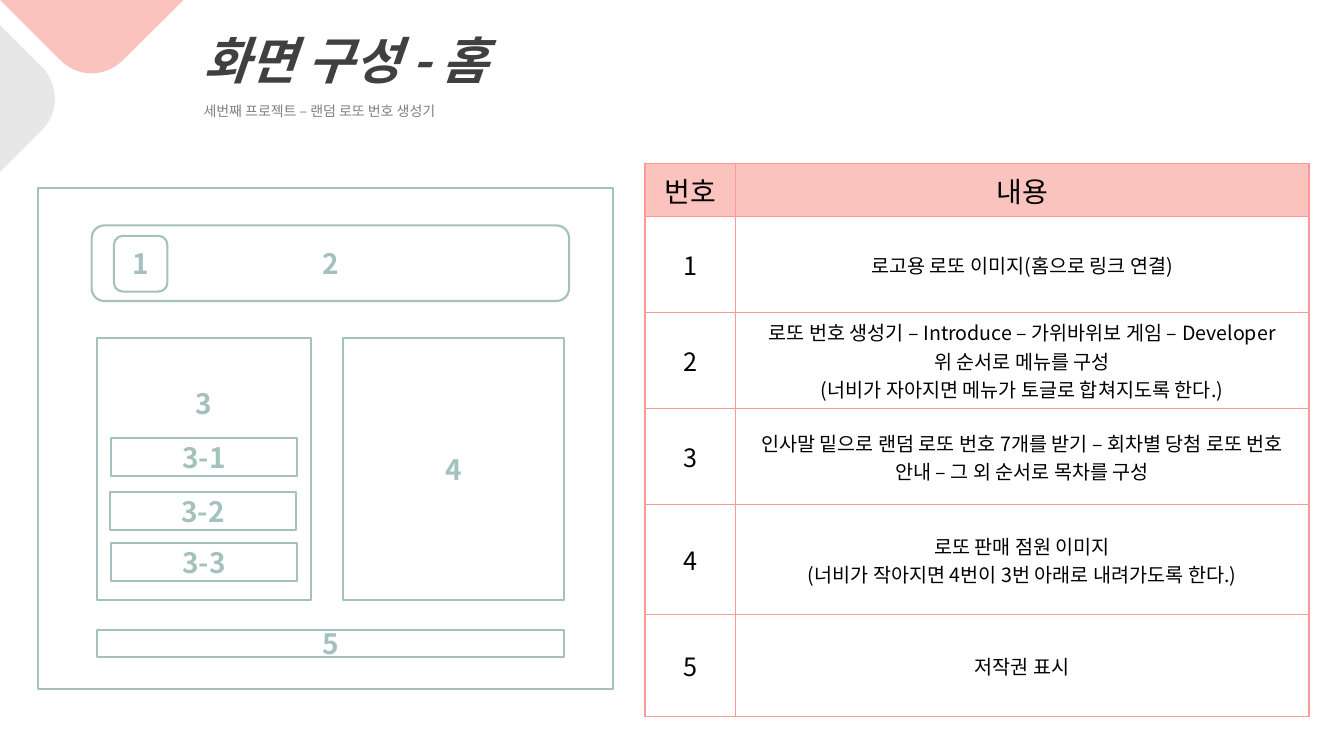
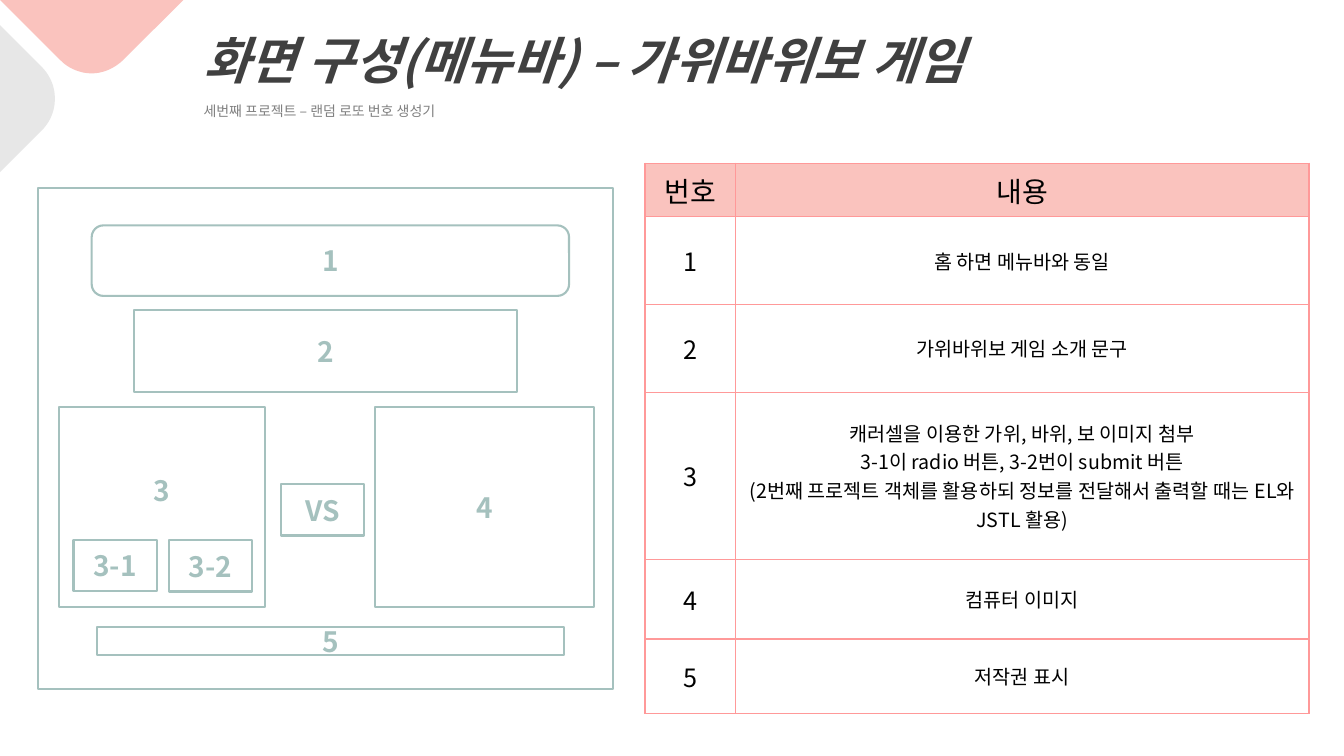
from lxml import etree
from pptx import Presentation
from pptx.dml.color import RGBColor
from pptx.enum.shapes import MSO_SHAPE
from pptx.enum.text import MSO_ANCHOR, MSO_AUTO_SIZE, PP_ALIGN
from pptx.oxml import parse_xml
from pptx.oxml.ns import nsdecls, qn
from pptx.util import Pt

RECTANGLE, ROUNDED = MSO_SHAPE.RECTANGLE, MSO_SHAPE.ROUNDED_RECTANGLE
TOP, MIDDLE = MSO_ANCHOR.TOP, MSO_ANCHOR.MIDDLE
LEFT, CENTER = PP_ALIGN.LEFT, PP_ALIGN.CENTER
NO_AUTOFIT = MSO_AUTO_SIZE.NONE
TITLE_ONLY = 5

FONT = "Noto Sans CJK KR"
PINK, GREY, GREEN, BORDER = "FAC3BE", "E7E7E7", "A5C1BE", "FF9999"

TITLE_FORMAT = {"size": 36, "color": "404040", "bold": True, "italic": True}
SUBTITLE_FORMAT = {"size": 10, "color": "808080"}
LABEL_FORMAT = {"size": 20, "color": GREEN, "bold": True}
HEADER_FORMAT = {"size": 20, "color": "000000"}
NUMBER_FORMAT = {"size": 18, "color": "000000"}
CONTENT_FORMAT = {"size": 14, "color": "000000"}

SUBTITLE = "세번째 프로젝트 – 랜덤 로또 번호 생성기"
HEADERS = ("번호", "내용")
HEADER_HEIGHT = 38.2
COLUMN_WIDTHS = (64.6, 409.8)
TABLE_LEFT, TABLE_TOP = 460.7, 116.6
FRAME_BOX = ("", RECTANGLE, 27.4, 134.6, 410.4, 357.8)

# Corner outlines: a pair is a line end, three pairs are a Bézier curve.
CORNERS = [
    (PINK, (65.5, 52.4), [
        ((73.4, 52.4), (81.4, 49), (87.6, 43.2)), (131, 0), (0, 0), (43.4, 43.2),
        ((49, 49), (57.6, 52.4), (65.5, 52.4))]),
    (GREY, (0, 18), [
        (29.5, 47.5), ((36, 54), (39.2, 62), (39.2, 70.5)),
        ((39.2, 79.2), (36, 87), (29.5, 93.6)), (0, 123)]),
]

# Boxes: label, shape, left, top, width, height and optional room below the label.
SLIDES = [
    {
        "title": "화면 구성 - 홈",
        "rows": [
            (68.6, ["로고용 로또 이미지(홈으로 링크 연결)"]),
            (68.6, ["로또 번호 생성기 – Introduce – 가위바위보 게임 – Developer",
                    "위 순서로 메뉴를 구성",
                    "(너비가 자아지면 메뉴가 토글로 합쳐지도록 한다.)"]),
            (68.6, ["인사말 밑으로 랜덤 로또 번호 7개를 받기 – 회차별 당첨 로또 번호 "
                    "안내 – 그 외 순서로 목차를 구성"]),
            (78.5, ["로또 판매 점원 이미지",
                    "(너비가 작아지면 4번이 3번 아래로 내려가도록 한다.)"]),
            (72.5, ["저작권 표시"]),
        ],
        "boxes": [
            ("2", ROUNDED, 65.5, 161, 341, 54),
            ("3", RECTANGLE, 69, 241.3, 153.4, 187.2, 94),
            ("4", RECTANGLE, 245.2, 241.3, 157.7, 187.2),
            ("5", RECTANGLE, 69, 450, 334, 19.6),
            ("1", ROUNDED, 81.4, 168.5, 38.2, 39.8),
            ("3-1", RECTANGLE, 79.2, 313, 133.2, 27.2),
            ("3-2", RECTANGLE, 78.4, 351.4, 133.2, 27.2),
            ("3-3", RECTANGLE, 79.2, 388, 133.2, 27.2),
        ],
    },
    {
        "title": "화면 구성(메뉴바) – 가위바위보 게임",
        "rows": [
            (62.7, ["홈 하면 메뉴바와 동일"]),
            (62.7, ["가위바위보 게임 소개 문구"]),
            (119.3, ["캐러셀을 이용한 가위, 바위, 보 이미지 첨부",
                     "3-1이 radio 버튼, 3-2번이 submit 버튼",
                     "(2번째 프로젝트 객체를 활용하되 정보를 전달해서 출력할 때는 "
                     "EL와 JSTL 활용)"]),
            (57, ["컴퓨터 이미지"]),
            (53.4, ["저작권 표시"]),
        ],
        "boxes": [
            ("1", ROUNDED, 65.5, 161, 341, 50.4),
            ("3", RECTANGLE, 42.3, 290.8, 147, 142.8, 24),
            ("5", RECTANGLE, 69, 448, 334, 19.6),
            ("4", RECTANGLE, 267.8, 290.8, 156.4, 142.8),
            ("2", RECTANGLE, 95.7, 221.2, 273.6, 59),
            ("3-1", RECTANGLE, 52.5, 385.8, 59.4, 36.4),
            ("3-2", RECTANGLE, 120.8, 385.8, 59.4, 36.8),
            ("VS", RECTANGLE, 200.8, 345.8, 59.4, 36.8),
        ],
    },
]


def color(value):
    return RGBColor.from_string(value)


def write(frame, lines, text_format, alignment):
    """Put one formatted paragraph per line into a text frame."""
    for index, line in enumerate(lines):
        paragraph = frame.add_paragraph() if index else frame.paragraphs[0]
        paragraph.alignment = alignment
        run = paragraph.add_run()
        run.text = line
        font = run.font
        values = {"name": FONT, "size": Pt(text_format["size"]),
                  "bold": text_format.get("bold", False),
                  "italic": text_format.get("italic", False)}
        for name, value in values.items():
            setattr(font, name, value)
        font.color.rgb = color(text_format["color"])
        east_asian = etree.SubElement(run._r.get_or_add_rPr(), qn("a:ea"))
        east_asian.set("typeface", FONT)


def set_frame(frame, anchor, margin):
    values = {"word_wrap": True, "auto_size": NO_AUTOFIT, "vertical_anchor": anchor}
    for side in ("left", "top", "right", "bottom"):
        values["margin_" + side] = Pt(margin)
    for name, value in values.items():
        setattr(frame, name, value)


def place(shape, left, top, width, height):
    for name, value in zip(("left", "top", "width", "height"),
                           (left, top, width, height)):
        setattr(shape, name, Pt(value))


def curve_points(start, controls, steps=16):
    """Points along a cubic Bézier curve, without its start."""
    weights = ((1 - t, t) for t in (step / steps for step in range(1, steps + 1)))
    for s, t in weights:
        factors = (s ** 3, 3 * s * s * t, 3 * s * t * t, t ** 3)
        yield tuple(sum(f * point[axis] for f, point in zip(factors, (start, *controls)))
                    for axis in (0, 1))


def add_corners(slide):
    for fill, start, segments in CORNERS:
        points = [start]
        for segment in segments:
            if isinstance(segment[0], tuple):
                points.extend(curve_points(points[-1], segment))
            else:
                points.append(segment)
        vertices = [(Pt(x), Pt(y)) for x, y in points]
        builder = slide.shapes.build_freeform(*vertices[0])
        builder.add_line_segments(vertices[1:], close=True)
        shape = builder.convert_to_shape()
        shape.shadow.inherit = False
        shape.fill.solid()
        shape.fill.fore_color.rgb = color(fill)
        shape.line.fill.background()


def add_heading(slide, title):
    subtitle = slide.shapes.add_textbox(0, 0, 0, 0)
    for shape, text, text_format, top, height in (
            (slide.shapes.title, title, TITLE_FORMAT, 20.5, 52),
            (subtitle, SUBTITLE, SUBTITLE_FORMAT, 73, 16)):
        place(shape, 145.4, top, 660, height)
        set_frame(shape.text_frame, TOP, 0)
        write(shape.text_frame, [text], text_format, LEFT)


def format_cell(cell, lines, text_format, fill=None):
    cell.vertical_anchor = MIDDLE
    write(cell.text_frame, lines, text_format, CENTER)
    properties = cell._tc.get_or_add_tcPr()
    for side in "LRTB":
        properties.append(parse_xml(
            f'<a:ln{side} {nsdecls("a")} w="{Pt(1)}"><a:solidFill>'
            f'<a:srgbClr val="{BORDER}"/></a:solidFill></a:ln{side}>'))
    if fill:
        cell.fill.solid()
        cell.fill.fore_color.rgb = color(fill)
    else:
        cell.fill.background()


def add_description_table(slide, rows):
    heights = [HEADER_HEIGHT] + [height for height, _ in rows]
    table = slide.shapes.add_table(
        len(heights), len(COLUMN_WIDTHS), Pt(TABLE_LEFT), Pt(TABLE_TOP),
        Pt(sum(COLUMN_WIDTHS)), Pt(sum(heights))).table
    table.horz_banding = False
    for column, width in zip(table.columns, COLUMN_WIDTHS):
        column.width = Pt(width)
    for row, height in zip(table.rows, heights):
        row.height = Pt(height)
    for index, header in enumerate(HEADERS):
        format_cell(table.cell(0, index), [header], HEADER_FORMAT, PINK)
    for number, (_, lines) in enumerate(rows, 1):
        format_cell(table.cell(number, 0), [str(number)], NUMBER_FORMAT)
        format_cell(table.cell(number, 1), lines, CONTENT_FORMAT)


def add_wireframe_box(slide, label, kind, left, top, width, height, room_below=0):
    shape = slide.shapes.add_shape(kind, Pt(left), Pt(top), Pt(width), Pt(height))
    shape.shadow.inherit = False
    shape.fill.background()
    shape.line.color.rgb = color(GREEN)
    shape.line.width = Pt(1.5)
    if label:
        set_frame(shape.text_frame, MIDDLE, 0)
        shape.text_frame.margin_bottom = Pt(room_below)
        write(shape.text_frame, [label], LABEL_FORMAT, CENTER)


def main():
    presentation = Presentation()
    presentation.slide_width, presentation.slide_height = Pt(960), Pt(540)
    for content in SLIDES:
        slide = presentation.slides.add_slide(presentation.slide_layouts[TITLE_ONLY])
        add_corners(slide)
        add_heading(slide, content["title"])
        add_description_table(slide, content["rows"])
        for box in [FRAME_BOX, *content["boxes"]]:
            add_wireframe_box(slide, *box)
    presentation.save("out.pptx")


if __name__ == "__main__":
    main()
